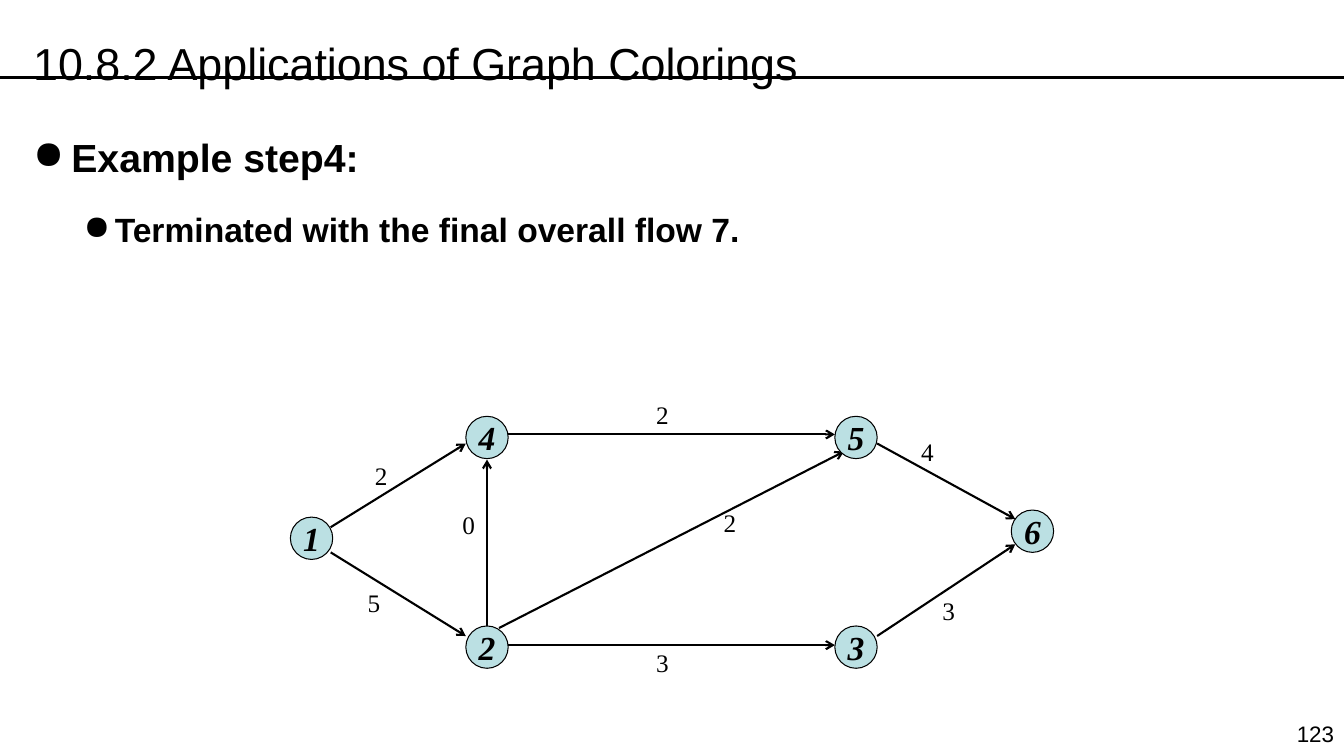
"""Build the slide showing the final flow network of the example, step 4."""
import lxml.etree
import pptx
import pptx.dml.color
import pptx.enum.shapes
import pptx.enum.text
import pptx.oxml
import pptx.oxml.ns
import pptx.util

Inches = pptx.util.Inches
ALIGN = pptx.enum.text.PP_ALIGN
ANCHOR = pptx.enum.text.MSO_ANCHOR
BLACK = "000000"
NODE_FILL = "BBE0E3"
NODE_SIZE = 0.42
LABEL_WIDTH, LABEL_HEIGHT = 0.33, 0.4


def color(value):
    return pptx.dml.color.RGBColor.from_string(value)


def write(paragraph, text, name="Arial", **formats):
    paragraph.text = text
    paragraph.font.name = name
    paragraph.font.color.rgb = color(BLACK)
    for attribute, value in formats.items():
        setattr(paragraph.font, attribute, value)


presentation = pptx.Presentation()
presentation.slide_width = Inches(13.33)
presentation.slide_height = Inches(7.5)
slide = presentation.slides.add_slide(presentation.slide_layouts[6])
shapes = slide.shapes

title = shapes.add_textbox(Inches(0.23), Inches(0.04), Inches(12.09), Inches(0.81))
title.text_frame.word_wrap = True
title_paragraph = title.text_frame.paragraphs[0]
title_paragraph.line_spacing = 1.5
write(title_paragraph, "10.8.2 Applications of Graph Colorings", size=pptx.util.Pt(32))

number = shapes.add_textbox(Inches(12.7), Inches(7.1), Inches(0.63), Inches(0.37))
number.text_frame.word_wrap = True
number_paragraph = number.text_frame.paragraphs[0]
number_paragraph.alignment = ALIGN.RIGHT
write(number_paragraph, "123", size=pptx.util.Pt(16))

body = shapes.add_textbox(Inches(0.23), Inches(1.04), Inches(12.59), Inches(6.4))
body.text_frame.word_wrap = True
bullets = [
    ("Example step4:", 28, 0.38, 0.38, 0),
    ("Terminated with the final overall flow 7.", 24, 0.81, 0.31, 6),
]
for level, (text, size, margin, hanging, space) in enumerate(bullets):
    paragraph = body.text_frame.paragraphs[0] if level == 0 else body.text_frame.add_paragraph()
    paragraph.level = level
    paragraph.line_spacing = 1.5
    paragraph.space_before = pptx.util.Pt(space)
    properties = paragraph._p.get_or_add_pPr()
    properties.set("marL", str(Inches(margin)))
    properties.set("indent", str(-Inches(hanging)))
    lxml.etree.SubElement(properties, pptx.oxml.ns.qn("a:buChar"), char="●")
    write(paragraph, text, size=pptx.util.Pt(size), bold=True)

lines = [
    ((0, 0.77), (13.33, 0.77), 2.25, False),
    ((5.03, 4.31), (8.28, 4.31), 1.5, True),
    ((5.03, 6.4), (8.28, 6.4), 1.5, True),
    ((3.28, 5.23), (4.62, 4.4), 1.5, True),
    ((3.28, 5.48), (4.62, 6.31), 1.5, True),
    ((8.7, 4.4), (10.07, 5.15), 1.5, True),
    ((8.7, 6.31), (10.07, 5.4), 1.5, True),
    ((4.95, 6.23), (8.37, 4.48), 1.5, True),
    ((4.83, 6.23), (4.83, 4.56), 1.5, True),
]
for start, end, width, has_arrow in lines:
    connector = shapes.add_connector(
        pptx.enum.shapes.MSO_CONNECTOR.STRAIGHT, *map(Inches, start + end))
    connector.line.color.rgb = color(BLACK)
    connector.line.width = pptx.util.Pt(width)
    if has_arrow:
        outline = connector.line._get_or_add_ln()
        lxml.etree.SubElement(outline, pptx.oxml.ns.qn("a:tailEnd"), type="arrow")
    lxml.etree.SubElement(connector._element.spPr, pptx.oxml.ns.qn("a:effectLst"))

nodes = {
    "1": (2.88, 5.13),
    "2": (4.62, 6.21),
    "3": (8.28, 6.21),
    "4": (4.62, 4.13),
    "5": (8.28, 4.13),
    "6": (10.03, 5.06),
}
for text, (left, top) in nodes.items():
    node = shapes.add_shape(
        pptx.enum.shapes.MSO_SHAPE.OVAL,
        Inches(left), Inches(top), Inches(NODE_SIZE), Inches(NODE_SIZE))
    node.shadow.inherit = False
    node.fill.solid()
    node.fill.fore_color.rgb = color(NODE_FILL)
    node.line.color.rgb = color(BLACK)
    node.line.width = pptx.util.Pt(0.75)
    frame = node.text_frame
    frame.word_wrap = False
    frame.vertical_anchor = ANCHOR.MIDDLE
    frame.margin_left = frame.margin_right = frame.margin_top = frame.margin_bottom = 0
    frame.paragraphs[0].alignment = ALIGN.CENTER
    write(frame.paragraphs[0], text, "Times New Roman",
          size=pptx.util.Pt(24), bold=True, italic=True)

flows = [
    ("2", 3.78, 4.72),
    ("5", 3.71, 5.98),
    ("0", 4.65, 5.2),
    ("2", 7.24, 5.18),
    ("2", 6.57, 4.11),
    ("3", 6.57, 6.57),
    ("4", 9.2, 4.48),
    ("3", 9.41, 6.06),
]
for text, center_x, center_y in flows:
    label = shapes.add_textbox(
        Inches(center_x - LABEL_WIDTH / 2), Inches(center_y - LABEL_HEIGHT / 2),
        Inches(LABEL_WIDTH), Inches(LABEL_HEIGHT))
    label.text_frame.word_wrap = False
    label.text_frame.paragraphs[0].alignment = ALIGN.CENTER
    write(label.text_frame.paragraphs[0], text, "Times New Roman", size=pptx.util.Pt(18))

presentation.save("out.pptx")
